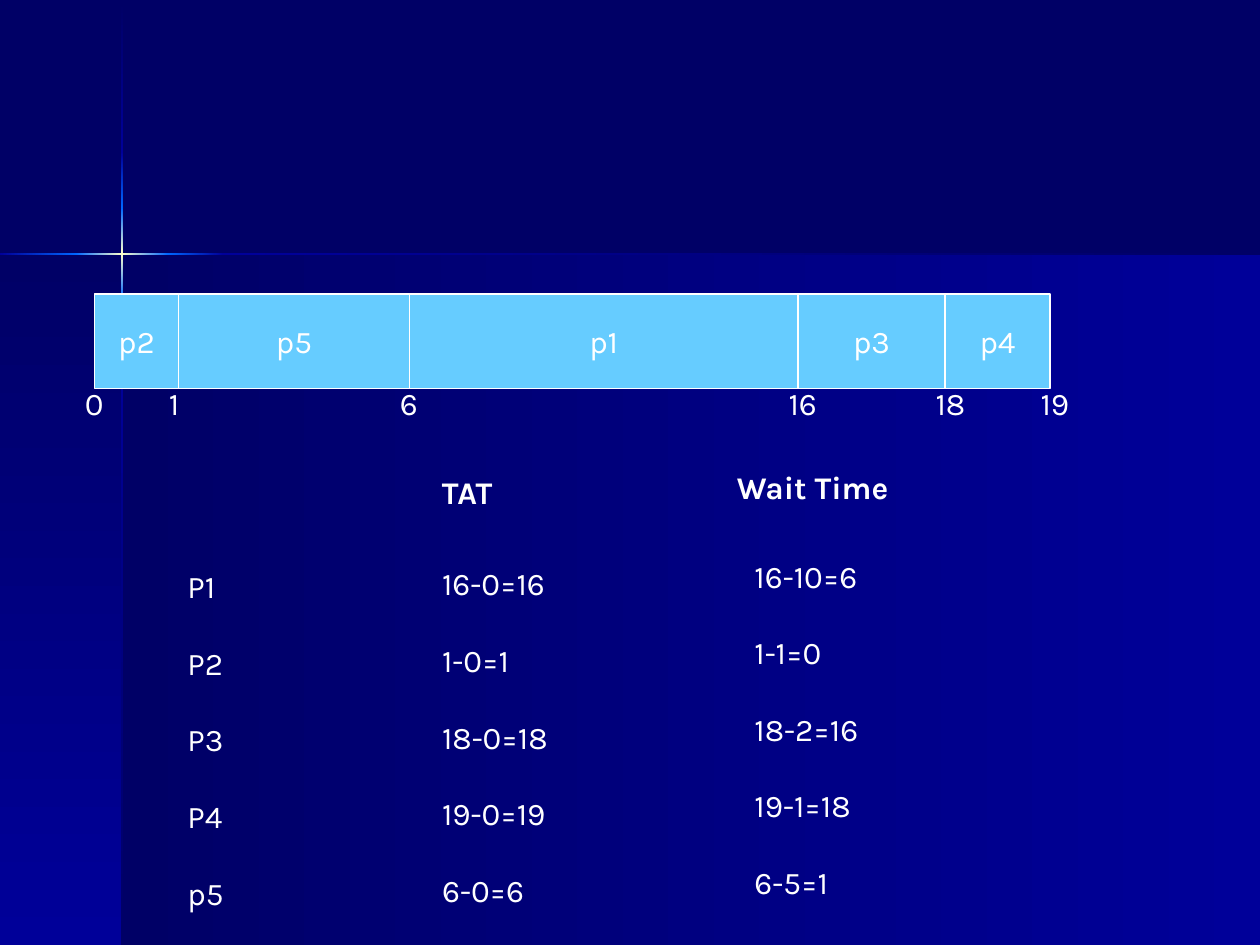
from dataclasses import dataclass
from itertools import accumulate

from lxml import etree
from pptx import Presentation
from pptx.dml import color as c
from pptx.enum import shapes, text
from pptx.oxml import ns
from pptx.util import Pt


@dataclass(frozen=True)
class Theme:
    font: str = "Karla"
    size: float = 18
    row_gap: float = 22.2
    navy: str = "000066"
    blue: str = "000099"
    bright: str = "0066FF"
    glow: str = "FFFFCC"
    bar: str = "66CCFF"
    white: str = "FFFFFF"


class SlideBuilder:
    def __init__(self, slide, theme):
        self.s, self.t = slide, theme
        fill = slide.background.fill
        fill.solid()
        fill.fore_color.rgb = c.RGBColor.from_string(theme.navy)

    def rect(self, x, y, w, h):
        sp = self.s.shapes.add_shape(
            shapes.MSO_SHAPE.RECTANGLE, Pt(x), Pt(y), Pt(w), Pt(h))
        sp.shadow.inherit = False
        return sp

    def gradient(self, x, y, w, h, colors, clockwise):
        """Borderless rectangle with evenly spaced gradient stops."""
        sp = self.rect(x, y, w, h)
        sp.line.fill.background()
        sp.fill.gradient()
        sp.fill.gradient_angle = 360 - clockwise
        stops = next(sp._element.spPr.iter(ns.qn("a:gsLst")))
        for old in list(stops):
            stops.remove(old)
        for i, color in enumerate(colors):
            gs = etree.SubElement(stops, ns.qn("a:gs"),
                                  pos=str(100000 * i // (len(colors) - 1)))
            etree.SubElement(gs, ns.qn("a:srgbClr"), val=color)

    def set_text(self, tf, lines, align, bold=False):
        tf.word_wrap = False
        tf.text = "\n".join(lines)
        for i, p in enumerate(tf.paragraphs):
            p.alignment = align
            if i:
                p.space_before = Pt(self.t.row_gap)
            for r in p.runs:
                r.font.name, r.font.size = self.t.font, Pt(self.t.size)
                r.font.bold = bold
                r.font.color.rgb = c.RGBColor.from_string(self.t.white)

    def box(self, label, x, y, w, h):
        sp = self.rect(x, y, w, h)
        sp.fill.solid()
        sp.fill.fore_color.rgb = c.RGBColor.from_string(self.t.bar)
        sp.line.color.rgb = c.RGBColor.from_string(self.t.white)
        sp.line.width = Pt(0.75)
        sp.text_frame.vertical_anchor = text.MSO_ANCHOR.MIDDLE
        self.set_text(sp.text_frame, [label], text.PP_ALIGN.CENTER)

    def label(self, lines, x, y, w, h=28.8, bold=False):
        tf = self.s.shapes.add_textbox(Pt(x), Pt(y), Pt(w), Pt(h)).text_frame
        self.set_text(tf, lines, text.PP_ALIGN.LEFT, bold)
        tf.auto_size = text.MSO_AUTO_SIZE.SHAPE_TO_FIT_TEXT


def main():
    prs = Presentation()
    prs.slide_width, prs.slide_height = Pt(720), Pt(540)
    t = Theme()
    b = SlideBuilder(prs.slides.add_slide(prs.slide_layouts[6]), t)

    # Background panels
    b.gradient(69.75, 145.5, 650.25, 394.5, [t.blue, t.navy], 180)
    b.gradient(0, 145.5, 69.75, 394.5, [t.navy, t.blue], 90)

    # Crossing light beams: start, end, colours
    flare = [t.bright, t.glow, t.bright]
    vertical = [(0.75, 87, [t.navy, t.blue]), (203, 540, [t.blue, t.navy]),
                (87, 119, [t.blue, t.bright]), (119, 171, flare)]
    horizontal = [(127.5, 720, [t.navy, t.blue]), (0, 44, [t.bright, t.blue]),
                  (96, 127.5, [t.blue, t.bright]), (43.5, 96, flare)]
    for start, end, colors in vertical:
        b.gradient(69, start, 1.5, end - start, colors, 90)
    for start, end, colors in horizontal:
        b.gradient(start, 144.5, end - start, 1.5, colors, 180)

    # Gantt chart bars
    names, widths = ["p2", "p5", "p1", "p3", "p4"], [48, 132, 222, 84, 60]
    edges = list(accumulate(widths, initial=54))
    for name, x, w in zip(names, edges, widths):
        b.box(name, x, 168, w, 54)

    # Time marks under the bar edges
    for mark, x in zip(["0", "1", "6", "16", "18", "19"], edges):
        b.label([mark], x - 12.5, 216, 24.5 if len(mark) == 1 else 34.5)

    # Column headings
    b.label(["TAT"], 245.5, 266.5, 47.5, bold=True)
    b.label(["Wait Time"], 414, 264, 104.5, bold=True)

    # Result columns
    columns = [
        (100, 320.5, 35.5, ["P1", "P2", "P3", "P4", "p5"]),
        (245.5, 319, 82, ["16-0=16", "1-0=1", "18-0=18", "19-0=19", "6-0=6"]),
        (424, 314.5, 82, ["16-10=6", "1-1=0", "18-2=16", "19-1=18", "6-5=1"]),
    ]
    for x, y, w, rows in columns:
        b.label(rows, x, y, w, 201.6)

    prs.save("out.pptx")


if __name__ == "__main__":
    main()
